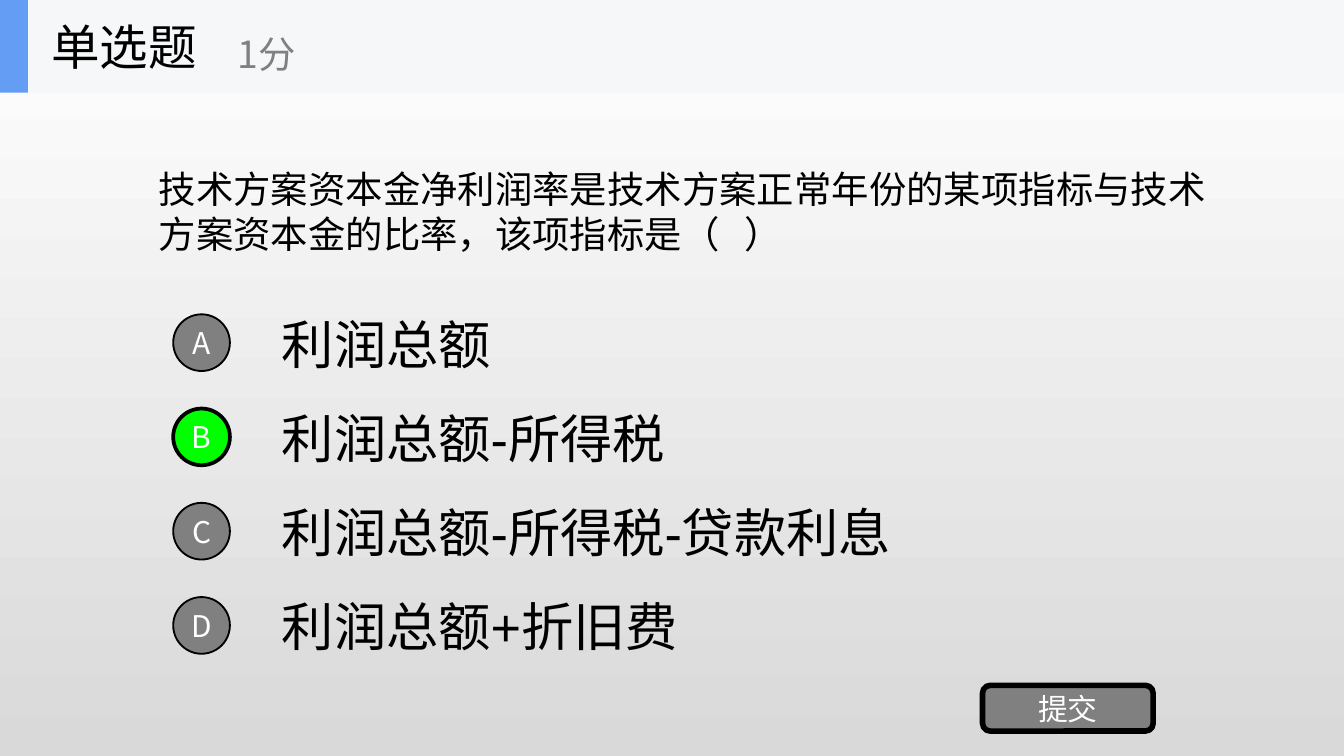
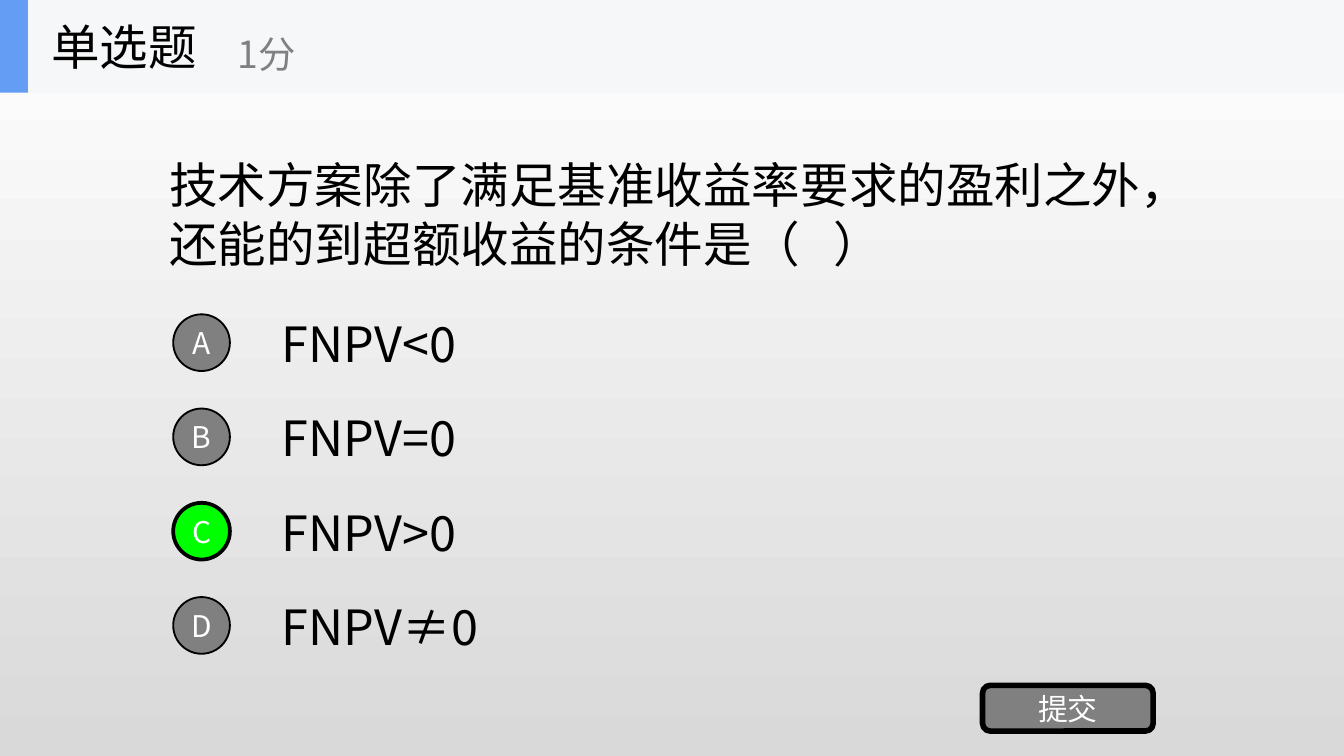
from dataclasses import dataclass

from lxml import etree
from pptx import Presentation
from pptx.dml.color import RGBColor
from pptx.enum import shapes, text
from pptx.oxml import ns
from pptx.util import Pt


@dataclass(frozen=True)
class Theme:
    ink: str = "000000"
    white: str = "FFFFFF"
    grey: str = "808080"
    correct: str = "00FF00"
    band: str = "F6F7F8"
    accent: str = "639EF4"
    backdrop: tuple[str, str] = ("FFFFFF", "D9D9D9")
    latin: str = "Arial"
    cjk: str = "Noto Sans CJK SC"
    heading: float = 26
    points: float = 20
    label: float = 16


@dataclass(frozen=True)
class Box:
    left: float
    top: float
    width: float
    height: float

    def lengths(self) -> tuple[int, int, int, int]:
        return Pt(self.left), Pt(self.top), Pt(self.width), Pt(self.height)


@dataclass(frozen=True)
class Style:
    size: float
    color: str
    font: str = "Noto Sans CJK SC"
    centered: bool = False
    wrap: bool = True


@dataclass(frozen=True)
class Question:
    prompt: str
    prompt_box: Box
    prompt_style: Style
    options: tuple[str, ...]
    option_style: Style
    answer: str


THEME = Theme()
LABEL = Style(THEME.label, THEME.white, centered=True)
HEADING = Style(THEME.heading, THEME.ink, wrap=False)
POINTS = Style(THEME.points, THEME.grey, wrap=False)

SLIDE_WIDTH, SLIDE_HEIGHT = 720, 405
BAND_HEIGHT = 49.7
OPTION_PITCH = 50.5

QUESTIONS = (
    Question(
        "技术方案资本金净利润率是技术方案正常年份的某项指标与技术方案资本金的比率，该项指标是（   ）",
        Box(77.8, 49.7, 576, 126.7),
        Style(20, THEME.ink, THEME.latin),
        ("利润总额", "利润总额-所得税", "利润总额-所得税-贷款利息", "利润总额+折旧费"),
        Style(28, THEME.ink, THEME.latin),
        "B",
    ),
    Question(
        "技术方案除了满足基准收益率要求的盈利之外，还能的到超额收益的条件是（   ）",
        Box(83.5, 51.1, 576, 126.7),
        Style(26, THEME.ink),
        ("FNPV<0", "FNPV=0", "FNPV>0", "FNPV≠0"),
        Style(26, THEME.ink),
        "C",
    ),
)


def write(shape, words: str, style: Style) -> None:
    frame = shape.text_frame
    frame.text = words
    frame.auto_size = text.MSO_AUTO_SIZE.NONE
    frame.word_wrap = style.wrap
    frame.vertical_anchor = text.MSO_ANCHOR.MIDDLE
    paragraph = frame.paragraphs[0]
    paragraph.alignment = text.PP_ALIGN.CENTER if style.centered else text.PP_ALIGN.LEFT
    paragraph.space_before = Pt(0)
    for run in paragraph.runs:
        run.font.size = Pt(style.size)
        run.font.name = style.font
        run.font.color.rgb = RGBColor.from_string(style.color)
        east_asian = etree.SubElement(run.font._element, ns.qn("a:ea"))
        east_asian.set("typeface", THEME.cjk)


def place(placeholder, box: Box) -> None:
    placeholder.left, placeholder.top, placeholder.width, placeholder.height = box.lengths()


def add_text(slide, box: Box, words: str, style: Style) -> None:
    write(slide.shapes.add_textbox(*box.lengths()), words, style)


def add_block(slide, kind, box: Box, fill: str, outline: float = 0, label: str = "") -> None:
    block = slide.shapes.add_shape(kind, *box.lengths())
    block.shadow.inherit = False
    block.fill.solid()
    block.fill.fore_color.rgb = RGBColor.from_string(fill)
    if outline:
        block.line.color.rgb = RGBColor.from_string(THEME.ink)
        block.line.width = Pt(outline)
    else:
        block.line.fill.background()
    if label:
        frame = block.text_frame
        frame.margin_left = frame.margin_right = frame.margin_top = frame.margin_bottom = 0
        write(block, label, LABEL)


def add_header(slide) -> None:
    rectangle = shapes.MSO_SHAPE.RECTANGLE
    add_block(slide, rectangle, Box(0, 0, SLIDE_WIDTH, BAND_HEIGHT), THEME.band)
    add_block(slide, rectangle, Box(0, 0, 15, BAND_HEIGHT), THEME.accent)
    heading = slide.shapes.title
    place(heading, Box(20.2, 0, 150, BAND_HEIGHT))
    write(heading, "单选题", HEADING)
    slide.shapes._spTree.append(heading._element)
    add_text(slide, Box(120.2, 8.6, 180, 40.3), "1分", POINTS)


def add_prompt(slide, question: Question) -> None:
    prompt = slide.placeholders[1]
    place(prompt, question.prompt_box)
    write(prompt, question.prompt, question.prompt_style)
    properties = prompt.text_frame.paragraphs[0]._p.get_or_add_pPr()
    properties.set("marL", "0")
    properties.set("indent", "0")
    etree.SubElement(properties, ns.qn("a:buNone"))


def add_options(slide, question: Question) -> None:
    for row, (letter, option) in enumerate(zip("ABCD", question.options)):
        drop = row * OPTION_PITCH
        is_answer = letter == question.answer
        add_text(slide, Box(144, 164.8 + drop, 504, 38.2), option, question.option_style)
        add_block(
            slide,
            shapes.MSO_SHAPE.OVAL,
            Box(92.8, 168.4 + drop, 30.4, 30.4),
            THEME.correct if is_answer else THEME.grey,
            2 if is_answer else 1,
            letter,
        )


def add_question(deck, question: Question) -> None:
    slide = deck.slides.add_slide(deck.slide_layouts[1])
    add_prompt(slide, question)
    add_options(slide, question)
    add_block(
        slide,
        shapes.MSO_SHAPE.ROUNDED_RECTANGLE,
        Box(526.4, 367.2, 91.4, 24.5),
        THEME.grey,
        3,
        "提交",
    )
    add_header(slide)


def paint_backdrop(deck) -> None:
    fill = deck.slide_master.background.fill
    fill.gradient()
    fill.gradient_angle = 270
    for stop, color in zip(fill.gradient_stops, THEME.backdrop):
        stop.color.rgb = RGBColor.from_string(color)


def main() -> None:
    deck = Presentation()
    deck.slide_width, deck.slide_height = Pt(SLIDE_WIDTH), Pt(SLIDE_HEIGHT)
    paint_backdrop(deck)
    for question in QUESTIONS:
        add_question(deck, question)
    deck.save("out.pptx")


if __name__ == "__main__":
    main()
